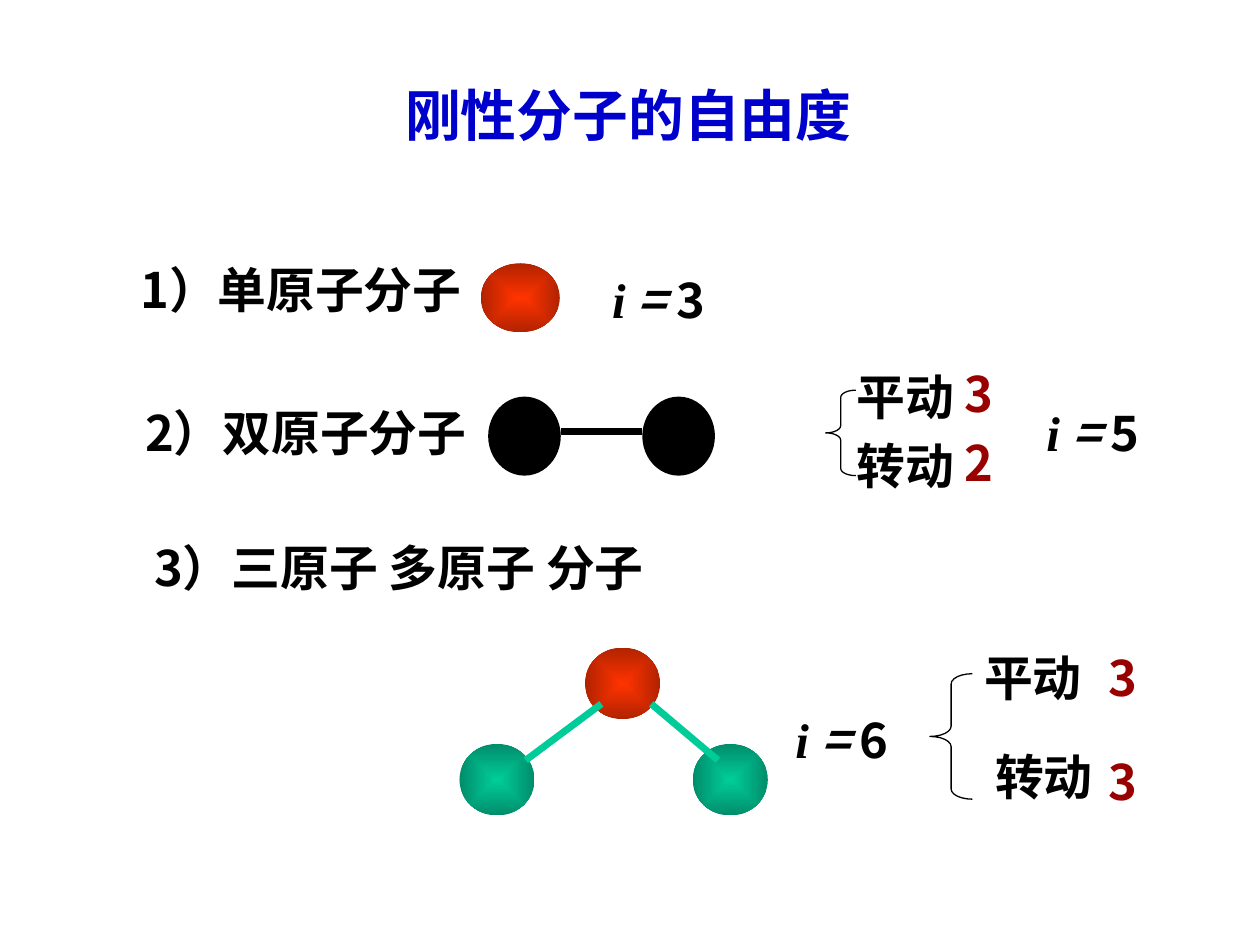
from lxml.etree import SubElement
from pptx import Presentation
from pptx.dml.color import RGBColor
from pptx.enum.shapes import MSO_CONNECTOR as Line, MSO_SHAPE as Shape
from pptx.enum.text import MSO_AUTO_SIZE as Auto
from pptx.oxml.ns import qn
from pptx.util import Cm, Pt

# Content: all lengths in cm
SANS, SERIF = "Noto Sans CJK SC", "Times New Roman"
BLACK, BLUE, DARK = "000000", "0000CC", "990000"
RED, GREEN = ("FF3300", "B12300"), ("00CC99", "008D6A")
ROW = 1.45  # height of a text line

TITLE = ("刚性分子的自由度", 7.95, 1.52, 15.67)
LABELS = [  # text, left, top, width, colour
    ("1）单原子分子", 2.59, 5.13, 7.4, BLACK),
    ("2）双原子分子", 2.69, 8.03, 7.4, BLACK),
    ("3）三原子 多原子 分子", 2.87, 10.77, 10.9, BLACK),
    ("平动", 17.09, 7.29, 2.65, BLACK),
    ("转动", 17.09, 8.69, 2.65, BLACK),
    ("3", 19.28, 7.24, 1.15, DARK),
    ("2", 19.28, 8.64, 1.15, DARK),
    ("平动", 19.67, 12.98, 2.65, BLACK),
    ("转动", 19.89, 14.99, 2.65, BLACK),
    ("3", 22.18, 12.98, 1.15, DARK),
    ("3", 22.18, 15.09, 1.15, DARK),
]
SUMS = [("3", 12.14, 5.33), ("5", 20.93, 8.03), ("6", 15.85, 14.25)]
ATOMS = [  # left, top, width, height, centre and edge colour
    (9.73, 5.33, 1.6, 1.4, RED),
    (9.88, 8.03, 1.47, 1.6, (BLACK, BLACK)),
    (13, 8.03, 1.47, 1.6, (BLACK, BLACK)),
    (14.02, 15.06, 1.52, 1.45, GREEN),
    (9.3, 15.06, 1.52, 1.45, GREEN),
    (11.84, 13.11, 1.52, 1.45, RED),
]
BONDS = [  # from x, y, to x, y, colour
    (11.35, 8.74, 13, 8.74, BLACK),
    (12.17, 14.25, 10.64, 15.39, GREEN[0]),
    (13.18, 14.25, 14.53, 15.39, GREEN[0]),
]
BRACES = [(16.71, 7.9, 0.61, 1.73), (18.82, 13.64, 0.86, 2.54)]

deck = Presentation()
deck.slide_width, deck.slide_height = Cm(25.5), Cm(19.05)
slide = deck.slides.add_slide(deck.slide_layouts[6])
shapes = slide.shapes


def tint(code):
    return RGBColor.from_string(code)


def write(runs, x, y, w, color=BLACK, size=28):
    """Add one line of text; runs are (text, font, italic)."""
    box = shapes.add_textbox(Cm(x), Cm(y), Cm(w), Cm(ROW))
    frame = box.text_frame
    frame.word_wrap = True
    frame.auto_size = Auto.SHAPE_TO_FIT_TEXT
    para = frame.paragraphs[0]
    font = para.font
    font.size, font.bold, font.color.rgb = Pt(size), True, tint(color)
    if len(runs) == 1:
        font.name = SANS
        base = para._p.pPr.find(qn("a:defRPr"))
        SubElement(base, qn("a:ea")).set("typeface", SANS)
    for text, face, slant in runs:
        run = para.add_run()
        run.text = text
        if len(runs) > 1:
            run.font.name, run.font.italic = face, slant


def shade(shape, inner, outer):
    """Fill from the centre out to the edges."""
    fill = shape.fill
    if inner == outer:
        fill.solid()
        fill.fore_color.rgb = tint(inner)
        return
    fill.gradient()
    for stop, code, at in zip(fill.gradient_stops, (inner, outer), (0, 1)):
        stop.color.rgb, stop.position = tint(code), at
    grad = shape._element.spPr.find(qn("a:gradFill"))
    grad.remove(grad.find(qn("a:lin")))
    way = SubElement(grad, qn("a:path"))
    way.set("path", "rect")
    rect = SubElement(way, qn("a:fillToRect"))
    for side in "ltrb":
        rect.set(side, "50000")


# Atoms
for x, y, w, h, pair in ATOMS:
    atom = shapes.add_shape(Shape.OVAL, Cm(x), Cm(y), Cm(w), Cm(h))
    atom.shadow.inherit = False
    atom.line.fill.background()
    shade(atom, *pair)

# Bonds
for x1, y1, x2, y2, code in BONDS:
    bond = shapes.add_connector(Line.STRAIGHT, Cm(x1), Cm(y1), Cm(x2), Cm(y2))
    bond.line.width, bond.line.color.rgb = Pt(4), tint(code)
    SubElement(bond._element.spPr, qn("a:effectLst"))

# Braces
for x, y, w, h in BRACES:
    brace = shapes.add_shape(Shape.LEFT_BRACE, Cm(x), Cm(y), Cm(w), Cm(h))
    brace.adjustments[0] = 0.24
    brace.shadow.inherit = False
    brace.fill.background()
    brace.line.width, brace.line.color.rgb = Pt(0.75), tint(BLACK)

# Text
text, x, y, w = TITLE
write([(text, SANS, False)], x, y, w, BLUE, 32)
for text, x, y, w, code in LABELS:
    write([(text, SANS, False)], x, y, w, code)
for num, x, y in SUMS:
    write([("i", SERIF, True), (" = ", SANS, True), (num, SANS, False)], x, y, 3.84)

deck.save("out.pptx")
